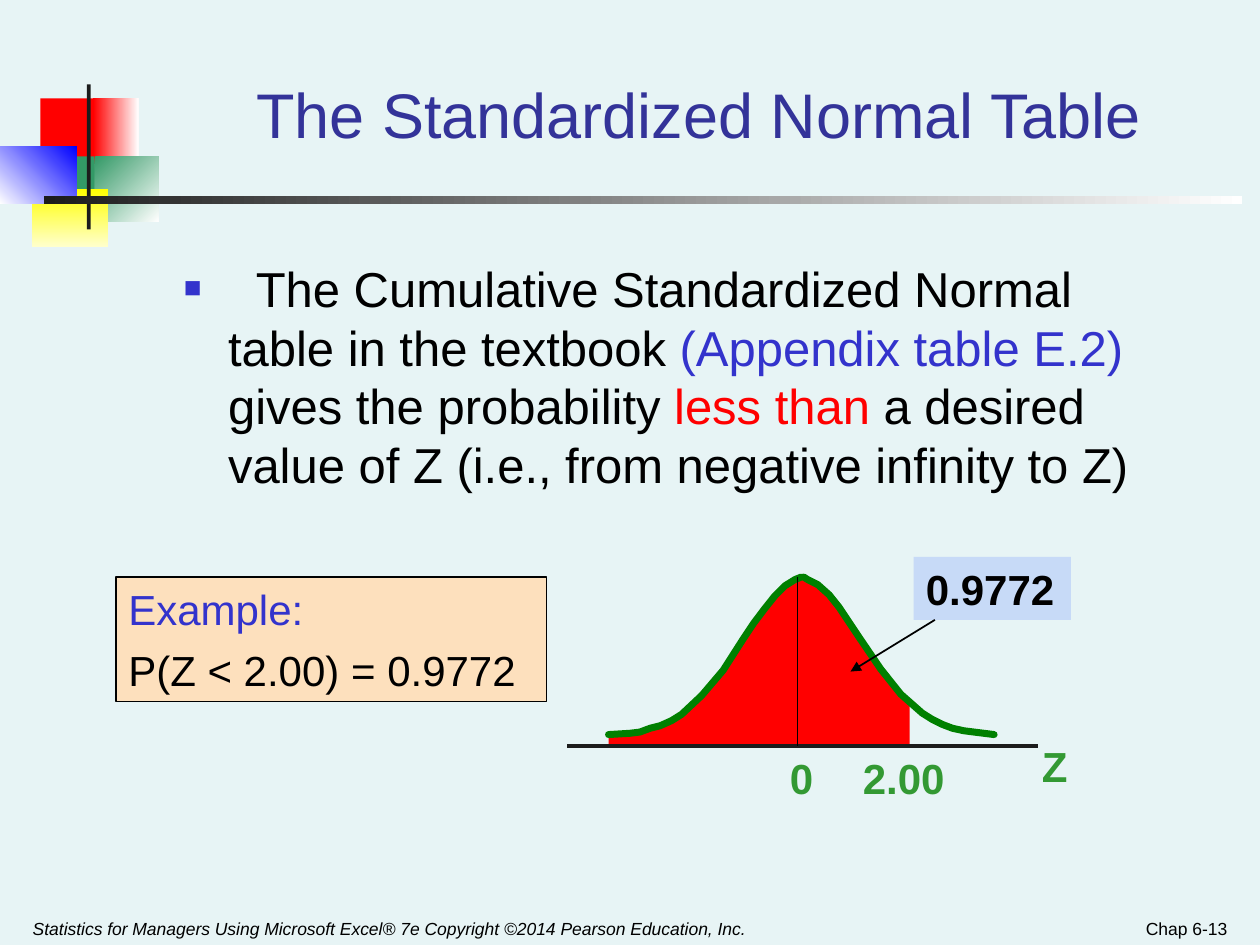
from lxml.etree import SubElement
from pptx import Presentation
from pptx.dml.color import RGBColor
from pptx.enum.shapes import MSO_CONNECTOR, MSO_SHAPE
from pptx.enum.text import MSO_ANCHOR as Anchor, PP_ALIGN as Align
from pptx.oxml.ns import qn
from pptx.util import Inches, Pt

BACKGROUND = RGBColor(0xE7, 0xF4, 0xF5)
BLACK = RGBColor(0, 0, 0)
WHITE = RGBColor(0xFF, 0xFF, 0xFF)
CHARCOAL = RGBColor(0x1C, 0x1C, 0x1C)
RED = RGBColor(0xFF, 0, 0)
BLUE = RGBColor(0, 0, 0xFF)
YELLOW = RGBColor(0xFF, 0xFF, 0)
CREAM = RGBColor(0xFF, 0xFF, 0xCC)
SEA_GREEN = RGBColor(0x33, 0x99, 0x66)
CURVE_GREEN = RGBColor(0, 0x80, 0)
LABEL_GREEN = RGBColor(0x33, 0x99, 0x33)
TITLE_BLUE = RGBColor(0x33, 0x33, 0x99)
ACCENT_BLUE = RGBColor(0x33, 0x33, 0xCC)
PALE_BLUE = RGBColor(0xC7, 0xDA, 0xF7)
PEACH = RGBColor(0xFD, 0xE0, 0xBD)

ORNAMENT = [
    (0.32, 0.78, 0.48, 0.52, RED, RED, 0),
    (0.74, 0.78, 0.36, 0.52, RED, WHITE, 0),
    (0.75, 1.24, 0.51, 0.52, SEA_GREEN, WHITE, 45),
    (0.43, 1.24, 0.32, 0.52, SEA_GREEN, SEA_GREEN, 0),
    (0.25, 1.5, 0.61, 0.46, YELLOW, CREAM, 90),
    (0, 1.16, 0.61, 0.46, WHITE, BLUE, 315),
    (0.69, 0.67, 0.03, 1.15, CHARCOAL, CHARCOAL, 0),
    (0.35, 1.56, 9.51, 0.06, CHARCOAL, WHITE, 0),
]

LEFT_CURVE = [
    (4.83, 5.83), (5, 5.82), (5.08, 5.81), (5.16, 5.78), (5.24, 5.76), (5.33, 5.72),
    (5.41, 5.67), (5.57, 5.52), (5.74, 5.32), (5.9, 5.07), (5.98, 4.95), (6.07, 4.83),
    (6.15, 4.73), (6.23, 4.65), (6.31, 4.6), (6.36, 4.58),
]
RIGHT_CURVE = [
    (6.38, 4.58), (6.41, 4.6), (6.49, 4.64), (6.58, 4.72), (6.66, 4.82), (6.74, 4.94),
    (6.82, 5.06), (6.99, 5.31), (7.15, 5.51), (7.32, 5.66), (7.4, 5.71), (7.48, 5.75),
    (7.56, 5.78), (7.65, 5.8), (7.73, 5.81), (7.89, 5.83),
]
AXIS_Y = 5.92
MEAN_X = 6.33
CUTOFF = (7.22, 5.57)


def add_box(slide, left, top, width, height, start, end=None, angle=0):
    box = slide.shapes.add_shape(
        MSO_SHAPE.RECTANGLE, Inches(left), Inches(top), Inches(width), Inches(height))
    box.shadow.inherit = False
    box.line.fill.background()
    if end in (None, start):
        box.fill.solid()
        box.fill.fore_color.rgb = start
    else:
        box.fill.gradient()
        box.fill.gradient_angle = (360 - angle) % 360
        for stop, color in zip(box.fill.gradient_stops, (start, end)):
            stop.color.rgb = color
    return box


def add_outline(slide, points, fill=None, line=None, width=1):
    corners = [(Inches(x), Inches(y)) for x, y in points]
    builder = slide.shapes.build_freeform(*corners[0])
    builder.add_line_segments(corners[1:], close=fill is not None)
    outline = builder.convert_to_shape()
    outline.shadow.inherit = False
    if fill is None:
        outline.fill.background()
    else:
        outline.fill.solid()
        outline.fill.fore_color.rgb = fill
    if line is None:
        outline.line.fill.background()
    else:
        outline.line.color.rgb = line
        outline.line.width = Pt(width)
        stroke = outline.line._get_or_add_ln()
        stroke.set("cap", "rnd")
        SubElement(stroke, qn("a:round"))


def add_line(slide, start, end, color, width=1, arrow=False):
    line = slide.shapes.add_connector(
        MSO_CONNECTOR.STRAIGHT, *(Inches(value) for value in (*start, *end)))
    line.line.color.rgb = color
    line.line.width = Pt(width)
    if arrow:
        SubElement(line.line._get_or_add_ln(), qn("a:tailEnd"), type="triangle")
    SubElement(line._element.spPr, qn("a:effectLst"))


def write(box, paragraphs, size, align=Align.LEFT, anchor=Anchor.TOP,
          bold=None, italic=None, space=0, inset=0.1):
    frame = box.text_frame
    frame.word_wrap = True
    frame.vertical_anchor = anchor
    frame.margin_left = frame.margin_right = Inches(inset)
    for index, runs in enumerate(paragraphs):
        paragraph = frame.add_paragraph() if index else frame.paragraphs[0]
        paragraph.alignment = align
        if index:
            paragraph.space_before = Pt(space)
        paragraph.font.name = "Arial"
        paragraph.font.size = Pt(size)
        paragraph.font.bold = bold
        paragraph.font.italic = italic
        for text, color in runs:
            run = paragraph.add_run()
            run.text = text
            run.font.color.rgb = color


def add_text(slide, left, top, width, height, runs, size, **style):
    box = slide.shapes.add_textbox(
        Inches(left), Inches(top), Inches(width), Inches(height))
    write(box, [runs], size, **style)
    return box


def add_bullet(paragraph, margin, indent, first_tab):
    properties = paragraph._p.get_or_add_pPr()
    properties.set("marL", str(Inches(margin)))
    properties.set("indent", str(Inches(indent)))
    color = SubElement(properties, qn("a:buClr"))
    SubElement(color, qn("a:srgbClr"), val=str(ACCENT_BLUE))
    SubElement(properties, qn("a:buSzPct"), val="60000")
    SubElement(properties, qn("a:buFont"), typeface="Arial")
    SubElement(properties, qn("a:buChar"), char="■")
    tabs = SubElement(properties, qn("a:tabLst"))
    SubElement(tabs, qn("a:tab"), pos=str(Inches(first_tab)), algn="l")
    properties.append(properties.find(qn("a:defRPr")))


def add_distribution(slide):
    cutoff_x = CUTOFF[0]
    shaded_right = [point for point in RIGHT_CURVE if point[0] < cutoff_x]
    add_outline(slide, [(LEFT_CURVE[0][0], AXIS_Y), *LEFT_CURVE, *shaded_right,
                        CUTOFF, (cutoff_x, AXIS_Y)], fill=RED)
    for curve in (LEFT_CURVE, RIGHT_CURVE):
        add_outline(slide, curve, line=CURVE_GREEN, width=4)
    add_line(slide, (4.5, AXIS_Y), (8.24, AXIS_Y), CHARCOAL, 2)
    add_line(slide, (MEAN_X, 4.58), (MEAN_X, AXIS_Y), BLACK)
    for label, left, top, width in (
            ("Z", 8.17, 5.83, 0.4), ("0", 6.17, 5.92, 0.52), ("2.00", 6.75, 5.92, 1.08)):
        add_text(slide, left, top, width, 0.5, [(label, LABEL_GREEN)], 24, bold=True)
    probability = add_box(slide, 7.25, 4.42, 1.25, 0.5, PALE_BLUE)
    write(probability, [[("0.9772", BLACK)]], 24, bold=True)
    add_line(slide, (7.42, 4.92), (6.75, 5.33), BLACK, arrow=True)


def add_example(slide):
    example = add_box(slide, 0.92, 4.58, 3.42, 0.99, PEACH)
    example.line.color.rgb = BLACK
    example.line.width = Pt(0.75)
    write(example, [[("Example:", ACCENT_BLUE)], [("P(Z < 2.00) = 0.9772", BLACK)]],
          24, space=6)


def main():
    deck = Presentation()
    deck.slide_width, deck.slide_height = Inches(10), Inches(7.5)
    slide = deck.slides.add_slide(deck.slide_layouts[6])
    slide.background.fill.solid()
    slide.background.fill.fore_color.rgb = BACKGROUND

    for part in ORNAMENT:
        add_box(slide, *part)
    add_text(slide, 1.67, 0.33, 7.75, 0.92, [("The Standardized Normal Table", TITLE_BLUE)],
             36, align=Align.CENTER, anchor=Anchor.BOTTOM, inset=0.09)
    statement = add_text(slide, 1.25, 2, 8.08, 2.39, [
        ("\tThe Cumulative Standardized Normal table in the textbook ", BLACK),
        ("(Appendix table E.2)", ACCENT_BLUE),
        (" gives the probability ", BLACK),
        ("less than", RED),
        (" a desired value of Z (i.e., from negative infinity to Z)", BLACK),
    ], 28, inset=0.09)
    add_bullet(statement.text_frame.paragraphs[0], margin=0.47, indent=-0.35, first_tab=0.69)

    add_distribution(slide)
    add_example(slide)

    add_text(slide, 0.17, 7.15, 6.17, 0.35, [
        ("Statistics for Managers Using Microsoft Excel® 7e "
         "Copyright ©2014 Pearson Education, Inc.", BLACK),
    ], 10, anchor=Anchor.BOTTOM, italic=True, inset=0.09)
    add_text(slide, 7.5, 7.15, 2.33, 0.35, [("Chap 6-13", BLACK)],
             10, align=Align.RIGHT, anchor=Anchor.BOTTOM, inset=0.09)

    deck.save("out.pptx")


if __name__ == "__main__":
    main()
